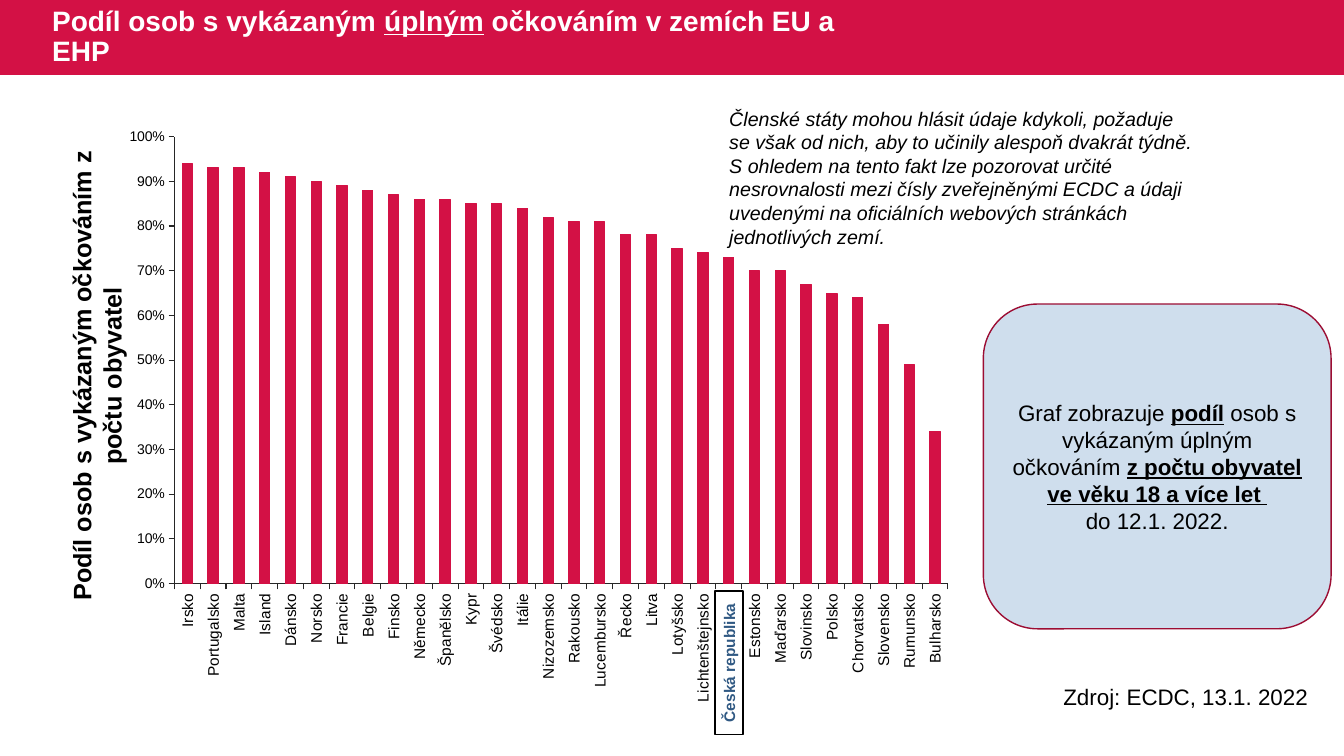
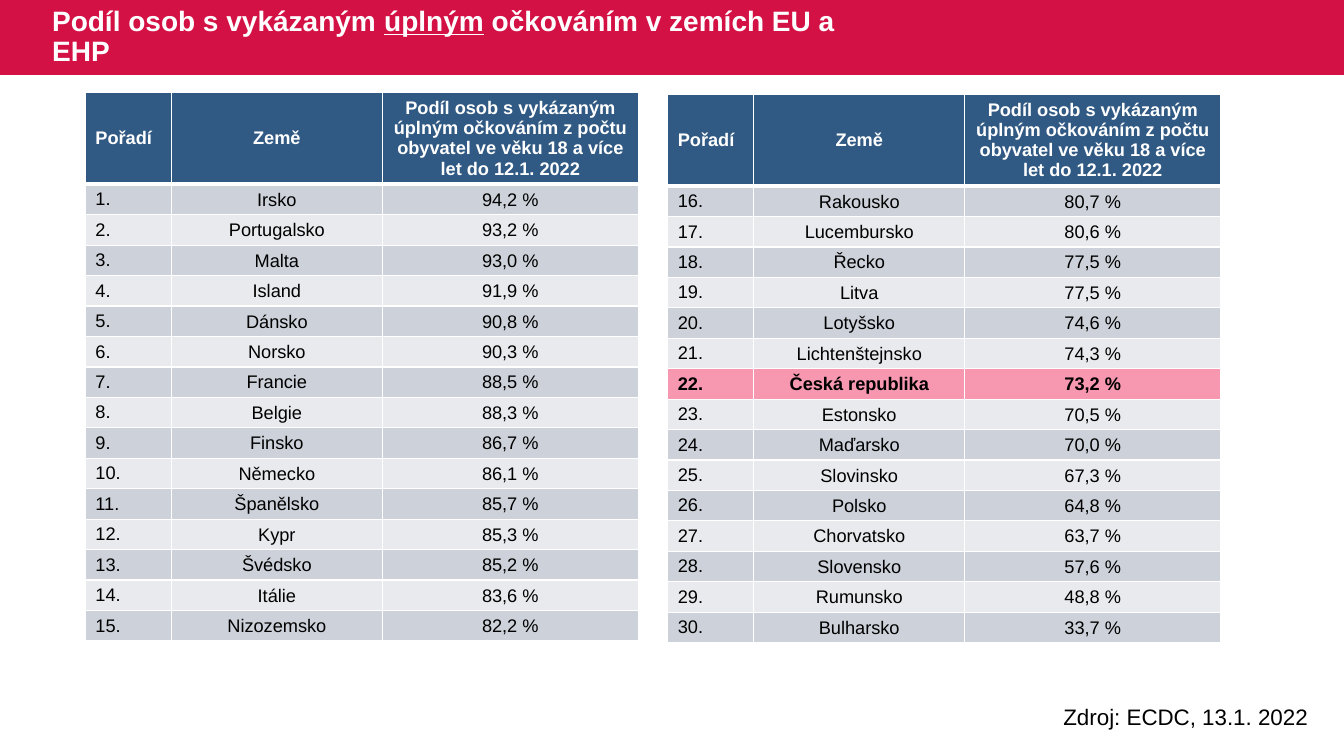
from pptx import Presentation
from pptx.chart.data import CategoryChartData
from pptx.dml.color import RGBColor
from pptx.enum.chart import XL_CHART_TYPE as ChartType, XL_TICK_MARK as TickMark
from pptx.enum.shapes import MSO_SHAPE as Preset
from pptx.enum.text import MSO_ANCHOR as Anchor, MSO_AUTO_SIZE as AutoSize, PP_ALIGN as Align
from pptx.oxml import parse_xml
from pptx.oxml.ns import nsdecls, qn
from pptx.util import Pt

# Shared look
FONT = "Arial"
SLIDE_W, SLIDE_H = 960, 540
BAND_H = 53.5
RED, DARK_RED, PINK = "D31145", "9C0D33", "F797B0"
NAVY, PALE_BLUE = "305983", "CFDEED"
ROW_FILLS = ("CDD1D9", "E8EAED")
BLACK, WHITE, AXIS_GREY = "000000", "FFFFFF", "262626"

# Content
HIGHLIGHT = "Česká republika"
SOURCE = "Zdroj: ECDC, 13.1. 2022"
TITLE = [("Podíl osob s vykázaným ", {}), ("úplným", {"underline": True}),
         (" očkováním v zemích EU a EHP", {})]
AXIS_TITLE = "Podíl osob s vykázaným očkováním z počtu obyvatel"
DISCLAIMER = (
    "Členské státy mohou hlásit údaje kdykoli, požaduje se však od nich, aby to učinily "
    "alespoň dvakrát týdně. S ohledem na tento fakt lze pozorovat určité nesrovnalosti mezi "
    "čísly zveřejněnými ECDC a údaji uvedenými na oficiálních webových stránkách "
    "jednotlivých zemí.")
STRONG = {"bold": True, "underline": True}
EXPLANATION = [
    [("Graf zobrazuje ", {}), ("podíl", STRONG), (" osob s vykázaným úplným očkováním ", {}),
     ("z počtu obyvatel ve věku 18 a více let ", STRONG)],
    [("do 12.1. 2022.", {})],
]
HEADERS = ("Pořadí", "Země",
           "Podíl osob s vykázaným úplným očkováním z počtu obyvatel ve věku 18 a více let "
           "do 12.1. 2022")
COVERAGE = [
    ("Irsko", 94.2), ("Portugalsko", 93.2), ("Malta", 93.0), ("Island", 91.9),
    ("Dánsko", 90.8), ("Norsko", 90.3), ("Francie", 88.5), ("Belgie", 88.3),
    ("Finsko", 86.7), ("Německo", 86.1), ("Španělsko", 85.7), ("Kypr", 85.3),
    ("Švédsko", 85.2), ("Itálie", 83.6), ("Nizozemsko", 82.2), ("Rakousko", 80.7),
    ("Lucembursko", 80.6), ("Řecko", 77.5), ("Litva", 77.5), ("Lotyšsko", 74.6),
    ("Lichtenštejnsko", 74.3), (HIGHLIGHT, 73.2), ("Estonsko", 70.5), ("Maďarsko", 70.0),
    ("Slovinsko", 67.3), ("Polsko", 64.8), ("Chorvatsko", 63.7), ("Slovensko", 57.6),
    ("Rumunsko", 48.8), ("Bulharsko", 33.7),
]
HALF = len(COVERAGE) // 2


# Formatting helpers
def rgb(color):
    return RGBColor.from_string(color)


def points(*lengths):
    return [Pt(length) for length in lengths]


def set_font(font, size, color=BLACK, **formats):
    for attribute, value in {"name": FONT, "size": Pt(size), **formats}.items():
        setattr(font, attribute, value)
    font.color.rgb = rgb(color)


def set_fill(part, color):
    part.fill.solid()
    part.fill.fore_color.rgb = rgb(color)


def set_line(line, color, width):
    line.color.rgb = rgb(color)
    line.width = Pt(width)


def write(frame, paragraphs, size, color=BLACK, align=Align.LEFT, anchor=Anchor.TOP, **formats):
    """Write paragraphs, each a list of (text, run formats), into a text frame."""
    frame.word_wrap = True
    frame.vertical_anchor = anchor
    for index, runs in enumerate(paragraphs):
        paragraph = frame.add_paragraph() if index else frame.paragraphs[0]
        paragraph.alignment = align
        for text, run_formats in runs:
            run = paragraph.add_run()
            run.text = text
            set_font(run.font, size, color, **{**formats, **run_formats})


# Kinds of element
def add_label(slide, box, text, size, rotation=0, **formats):
    label = slide.shapes.add_textbox(*points(*box))
    label.rotation = rotation
    write(label.text_frame, [[(text, {})]], size, **formats)


def add_panel(slide, preset, box, fill, outline, paragraphs, size, rotation=0, **formats):
    panel = slide.shapes.add_shape(preset, *points(*box))
    panel.shadow.inherit = False
    panel.rotation = rotation
    set_fill(panel, fill)
    set_line(panel.line, outline, 1)
    write(panel.text_frame, paragraphs, size, align=Align.CENTER, anchor=Anchor.MIDDLE, **formats)


def add_band(layout, slide):
    """Draw the red title band and move it to the back of the layout."""
    band = slide.shapes.add_shape(Preset.RECTANGLE, *points(0, 0, SLIDE_W, BAND_H))
    band.shadow.inherit = False
    set_fill(band, RED)
    band.line.fill.background()
    layout.shapes.element.insert(2, band.element)


def add_titled_slide(deck, layout):
    slide = deck.slides.add_slide(layout)
    title = slide.shapes.title
    title.left, title.top, title.width, title.height = points(30, 0, 588, BAND_H)
    title.text_frame.auto_size = AutoSize.NONE
    write(title.text_frame, [TITLE], 20, WHITE, anchor=Anchor.MIDDLE, bold=True)
    title.text_frame.paragraphs[0].line_spacing = 0.9
    return slide


def set_plot_area(chart, x, y, w, h):
    plot_area = chart.element.chart.plotArea
    for layout in plot_area.findall(qn("c:layout")):
        plot_area.remove(layout)
    sizes = "".join(f'<c:{key} val="{value}"/>' for key, value in
                    {"x": x, "y": y, "w": w, "h": h}.items())
    plot_area.insert(0, parse_xml(
        f'<c:layout {nsdecls("c")}><c:manualLayout><c:layoutTarget val="inner"/>'
        f'<c:xMode val="edge"/><c:yMode val="edge"/>{sizes}</c:manualLayout></c:layout>'))


def add_coverage_chart(slide, box):
    data = CategoryChartData(number_format="0%")
    data.categories = [country for country, _ in COVERAGE]
    data.add_series("Series 1", [round(percent / 100, 2) for _, percent in COVERAGE])
    chart = slide.shapes.add_chart(ChartType.COLUMN_CLUSTERED, *points(*box), data).chart
    chart.has_legend = chart.has_title = False
    set_font(chart.font, 10)
    set_plot_area(chart, 0.068, 0.047, 0.914, 0.745)

    # Columns
    plot = chart.plots[0]
    plot.gap_width = 150
    plot.vary_by_categories = False
    columns = plot.series[0].format
    set_fill(columns, RED)
    set_line(columns.line, RED, 0.75)

    # Axes
    countries, shares = chart.category_axis, chart.value_axis
    for axis, size in ((countries, 11), (shares, 10)):
        axis.has_major_gridlines = False
        axis.major_tick_mark = TickMark.OUTSIDE
        set_line(axis.format.line, AXIS_GREY, 0.75)
        set_font(axis.tick_labels.font, size)
    label_body = countries._element.txPr.bodyPr
    for attribute, value in {"rot": "-5400000", "vert": "horz"}.items():
        label_body.set(attribute, value)
    for attribute, value in {"minimum_scale": 0, "maximum_scale": 1, "major_unit": 0.1}.items():
        setattr(shares, attribute, value)
    shares.tick_labels.number_format = "0%"
    shares.tick_labels.number_format_is_linked = False


def set_borders(cell, bottom):
    properties = cell._tc.get_or_add_tcPr()
    widths = {"lnL": 1, "lnR": 1, "lnT": 1, "lnB": bottom}
    for index, (side, width) in enumerate(widths.items()):
        properties.insert(index, parse_xml(
            f'<a:{side} {nsdecls("a")} w="{Pt(width)}"><a:solidFill>'
            f'<a:srgbClr val="{WHITE}"/></a:solidFill></a:{side}>'))


def fill_row(cells, texts, fill, color=BLACK, bold=False, header=False):
    for column, (cell, text) in enumerate(zip(cells, texts)):
        set_fill(cell, fill)
        set_borders(cell, 3 if header else 1)
        if column and not header:
            cell.margin_left = cell.margin_right = cell.margin_top = Pt(0.7)
            cell.margin_bottom = 0
        cell.vertical_anchor = Anchor.MIDDLE
        paragraph = cell.text_frame.paragraphs[0]
        paragraph.alignment = Align.CENTER if column else Align.LEFT
        run = paragraph.add_run()
        run.text = text
        set_font(run.font, 13, color, bold=bold)


def add_ranking(slide, left, top, first):
    """Add the table of one half of the countries, starting at index first."""
    widths, heights = (61.5, 150.5, 183), [65.5] + [21.75] * HALF
    ranking = slide.shapes.add_table(
        len(heights), len(widths), *points(left, top, sum(widths), sum(heights))).table
    ranking.horz_banding = False
    for column, width in zip(ranking.columns, widths):
        column.width = Pt(width)
    for row, height in zip(ranking.rows, heights):
        row.height = Pt(height)
    header, *body = ranking.rows
    fill_row(header.cells, HEADERS, NAVY, WHITE, bold=True, header=True)
    for index, (row, (country, percent)) in enumerate(zip(body, COVERAGE[first:first + HALF])):
        marked = country == HIGHLIGHT
        share = f"{percent:.1f} %".replace(".", ",")
        fill_row(row.cells, (f"{first + index + 1}.", country, share),
                 PINK if marked else ROW_FILLS[index % 2], bold=marked)


def add_source(slide, top):
    add_label(slide, (752.5, top, 225, 26.5), SOURCE, 16)


# Slides
def build_chart_slide(slide):
    add_label(slide, (-111.5, 243, 361.5, 51), AXIS_TITLE, 18, rotation=270,
              align=Align.CENTER, bold=True)
    add_coverage_chart(slide, (83.5, 77.5, 604.5, 428.5))
    add_panel(slide, Preset.ROUNDED_RECTANGLE, (702.4, 217.2, 248.4, 232), PALE_BLUE, DARK_RED,
              EXPLANATION, 16)
    add_panel(slide, Preset.RECTANGLE, (469.5, 463.5, 102.5, 20), WHITE, BLACK,
              [[(HIGHLIGHT, {})]], 11, rotation=270, color=NAVY, bold=True)
    add_source(slide, 484.5)
    add_label(slide, (513.8, 72.7, 350, 109), DISCLAIMER, 14, italic=True)


def build_table_slide(slide):
    add_ranking(slide, 61, 66.2, 0)
    add_ranking(slide, 477, 67.4, HALF)
    add_source(slide, 499)


def main():
    deck = Presentation()
    deck.slide_width, deck.slide_height = points(SLIDE_W, SLIDE_H)
    layout = deck.slide_layouts.get_by_name("Title Only")
    chart_slide, table_slide = (add_titled_slide(deck, layout) for _ in range(2))
    add_band(layout, chart_slide)
    build_chart_slide(chart_slide)
    build_table_slide(table_slide)
    deck.save("out.pptx")


if __name__ == "__main__":
    main()
